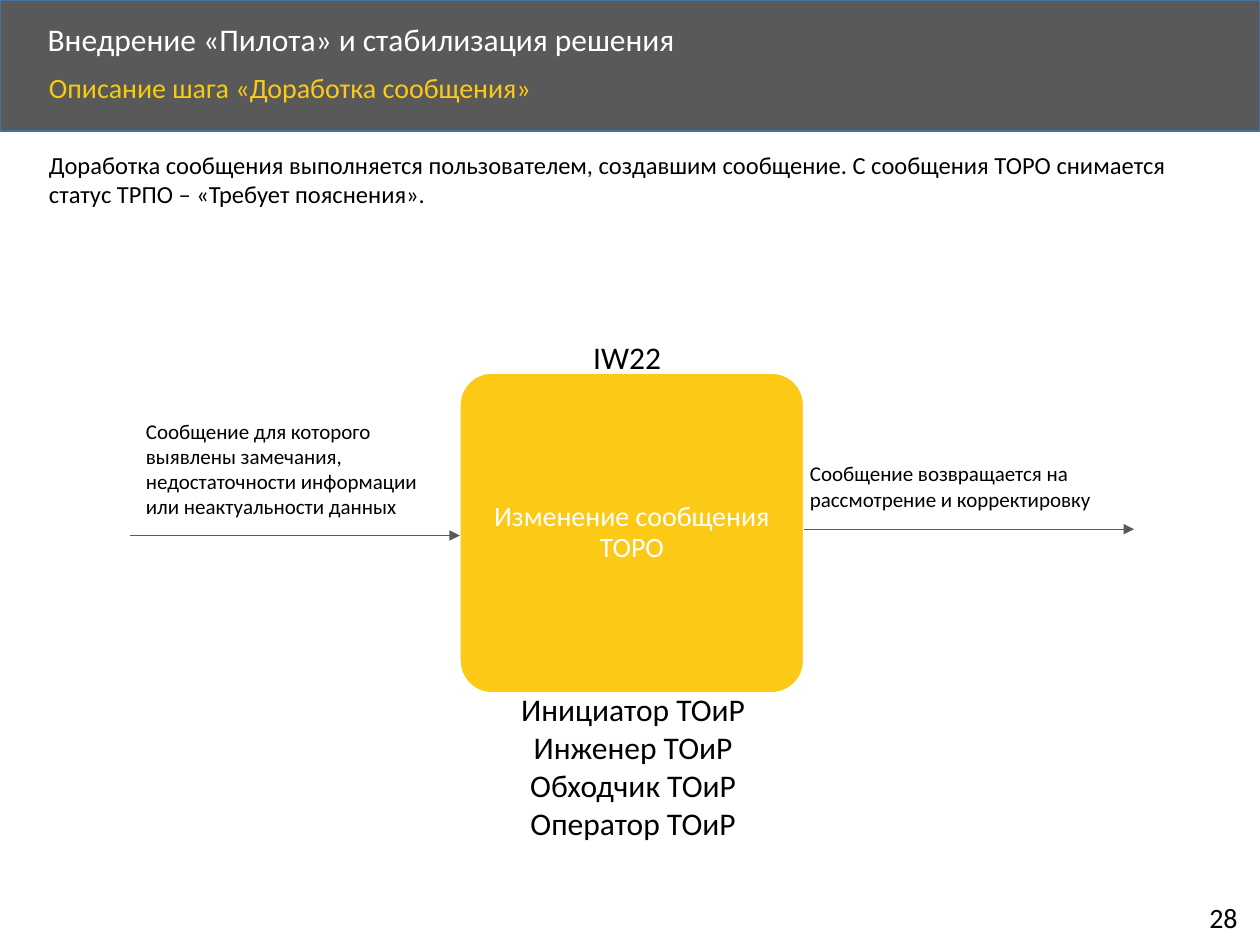
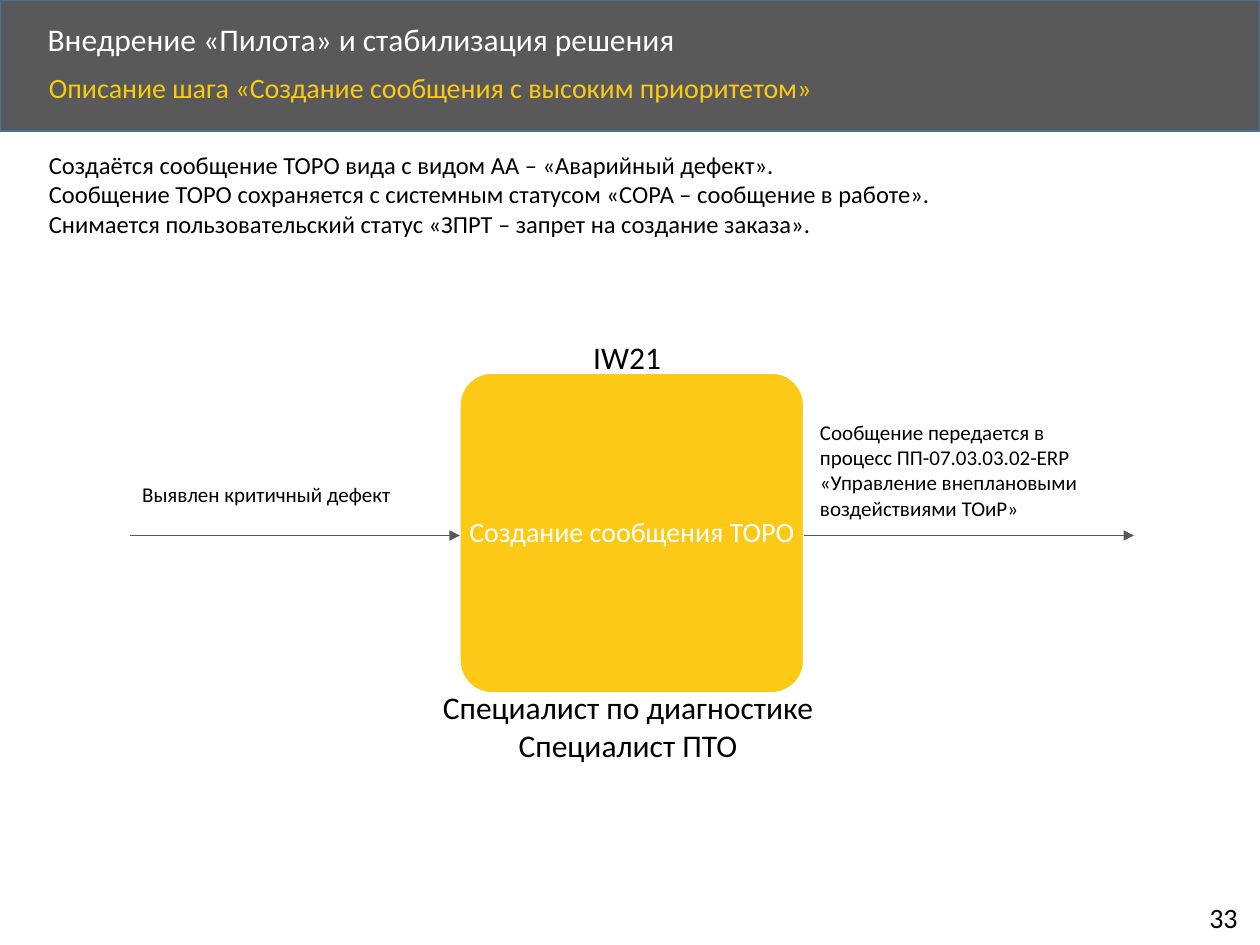
import pptx
import pptx.dml.color
import pptx.enum.shapes
import pptx.enum.text
import pptx.oxml.ns
import pptx.util
from lxml import etree

Inches = pptx.util.Inches
Pt = pptx.util.Pt
SHAPES = pptx.enum.shapes.MSO_SHAPE
ALIGN = pptx.enum.text.PP_ALIGN
ANCHOR = pptx.enum.text.MSO_ANCHOR

FONT = "Calibri"
WHITE, BLACK, GREY = "FFFFFF", "000000", "595959"
YELLOW, SUBTITLE_YELLOW, BAND_LINE = "FCC917", "F6CC0C", "43739E"

# Process step box and the arrows on both sides of it
STEP_LEFT, STEP_TOP, STEP_WIDTH, STEP_HEIGHT = 3.65, 2.96, 2.73, 2.54
STEP_RIGHT = STEP_LEFT + STEP_WIDTH
ARROW_LENGTH = 2.62
ARROW_Y = 4.25


def color(hex_value):
    return pptx.dml.color.RGBColor.from_string(hex_value)


class Deck:
    def __init__(self):
        self.presentation = pptx.Presentation()
        self.presentation.slide_width = Inches(10)
        self.presentation.slide_height = Inches(7.5)
        self.slide = None

    def box(self, preset, left, top, width, height, fill, line):
        shape = self.slide.shapes.add_shape(
            preset, Inches(left), Inches(top), Inches(width), Inches(height))
        shape.shadow.inherit = False
        shape.fill.solid()
        shape.fill.fore_color.rgb = color(fill)
        shape.line.color.rgb = color(line)
        shape.line.width = Pt(1)
        return shape

    def text(self, left, top, width, height, paragraphs, size, ink=BLACK,
             align=ALIGN.LEFT, anchor=ANCHOR.TOP, spacing=None, wrap=True, inset=None):
        """Each paragraph is a string or a list of (text, colour) runs."""
        shape = self.slide.shapes.add_textbox(
            Inches(left), Inches(top), Inches(width), Inches(height))
        frame = shape.text_frame
        frame.word_wrap = wrap
        frame.vertical_anchor = anchor
        if inset is not None:
            frame.margin_left = frame.margin_right = Inches(inset)
            frame.margin_top = frame.margin_bottom = Inches(inset)
        for index, content in enumerate(paragraphs):
            paragraph = frame.add_paragraph() if index else frame.paragraphs[0]
            paragraph.alignment = align
            if spacing:
                paragraph.line_spacing = spacing
            runs = [(content, ink)] if isinstance(content, str) else content
            for words, run_color in runs:
                run = paragraph.add_run()
                run.text = words
                run.font.name = FONT
                run.font.size = Pt(size)
                run.font.color.rgb = color(run_color)

    def arrow(self, left, y):
        connector = self.slide.shapes.add_connector(
            pptx.enum.shapes.MSO_CONNECTOR.STRAIGHT,
            Inches(left), Inches(y), Inches(left + ARROW_LENGTH), Inches(y))
        connector.line.color.rgb = color(GREY)
        connector.line.width = Pt(0.5)
        qn = pptx.oxml.ns.qn
        line = connector.line._get_or_add_ln()
        etree.SubElement(line, qn("a:tailEnd"), type="triangle")
        etree.SubElement(connector._element.spPr, qn("a:effectLst"))

    def start_slide(self, step_name, number):
        self.slide = self.presentation.slides.add_slide(self.presentation.slide_layouts[6])
        # Title band and page number
        self.box(SHAPES.RECTANGLE, 0, 0, 10, 1.04, GREY, BAND_LINE)
        self.text(0.28, 0.14, 8.07, 0.38, ["Внедрение «Пилота» и стабилизация решения"],
                  18, WHITE, anchor=ANCHOR.MIDDLE, spacing=0.9)
        self.text(0.29, 0.54, 8.65, 0.45,
                  [[("Описание шага ", SUBTITLE_YELLOW), (step_name, YELLOW)]],
                  16, spacing=0.9)
        self.text(9.5, 7.1, 0.46, 0.37, [number], 16, wrap=False)

    def description(self, paragraphs, height):
        self.text(0.29, 1.14, 9.46, height, paragraphs, 14)

    def step(self, label, transaction, output_y=ARROW_Y):
        rounded = self.box(SHAPES.ROUNDED_RECTANGLE, STEP_LEFT, STEP_TOP,
                           STEP_WIDTH, STEP_HEIGHT, YELLOW, WHITE)
        rounded.adjustments[0] = 0.1
        self.text(STEP_LEFT + 0.06, STEP_TOP + 0.08, STEP_WIDTH - 0.12, STEP_HEIGHT - 0.16,
                  [label], 16, WHITE, ALIGN.CENTER, ANCHOR.MIDDLE, 0.9, inset=0.01)
        self.arrow(STEP_LEFT - ARROW_LENGTH, ARROW_Y)
        self.arrow(STEP_RIGHT, output_y)
        self.text(4.61, 2.63, 0.75, 0.4, [transaction], 18, wrap=False)

    def arrow_label(self, left, top, height, words):
        self.text(left, top, 2.57, height, [words], 12)

    def roles(self, left, top, width, height, names):
        self.text(left, top, width, height, names, 18, align=ALIGN.CENTER)


def main():
    deck = Deck()

    # Message rework
    deck.start_slide("«Доработка сообщения»", "28")
    deck.description([
        "Доработка сообщения выполняется пользователем, создавшим сообщение. "
        "С сообщения ТОРО снимается статус ТРПО – «Требует пояснения»."], 0.57)
    deck.step("Изменение сообщения ТОРО", "IW22", output_y=4.2)
    deck.arrow_label(1.06, 3.27, 0.91,
                     "Сообщение для которого выявлены замечания, "
                     "недостаточности информации или неактуальности данных")
    deck.arrow_label(6.33, 3.61, 0.5, "Сообщение возвращается на рассмотрение и корректировку")
    deck.roles(3.89, 5.43, 2.27, 1.31,
               ["Инициатор ТОиР", "Инженер ТОиР", "Обходчик ТОиР", "Оператор ТОиР"])

    # High-priority message creation
    deck.start_slide("«Создание сообщения с высоким приоритетом»", "33")
    deck.description([
        "Создаётся сообщение ТОРО вида с видом AA – «Аварийный дефект».",
        "Сообщение ТОРО сохраняется с системным статусом «СОРА – сообщение в работе».",
        "Снимается пользовательский статус «ЗПРТ – запрет на создание заказа»."], 0.81)
    deck.step("Создание сообщения ТОРО", "IW21")
    deck.arrow_label(1.03, 3.77, 0.3, "Выявлен критичный дефект")
    deck.arrow_label(6.41, 3.28, 0.91,
                     "Сообщение передается в процесс ПП-07.03.03.02-ERP "
                     "«Управление внеплановыми воздействиями ТОиР»")
    deck.roles(3.41, 5.41, 3.15, 0.71, ["Специалист по диагностике", "Специалист ПТО"])

    deck.presentation.save("out.pptx")


if __name__ == "__main__":
    main()
